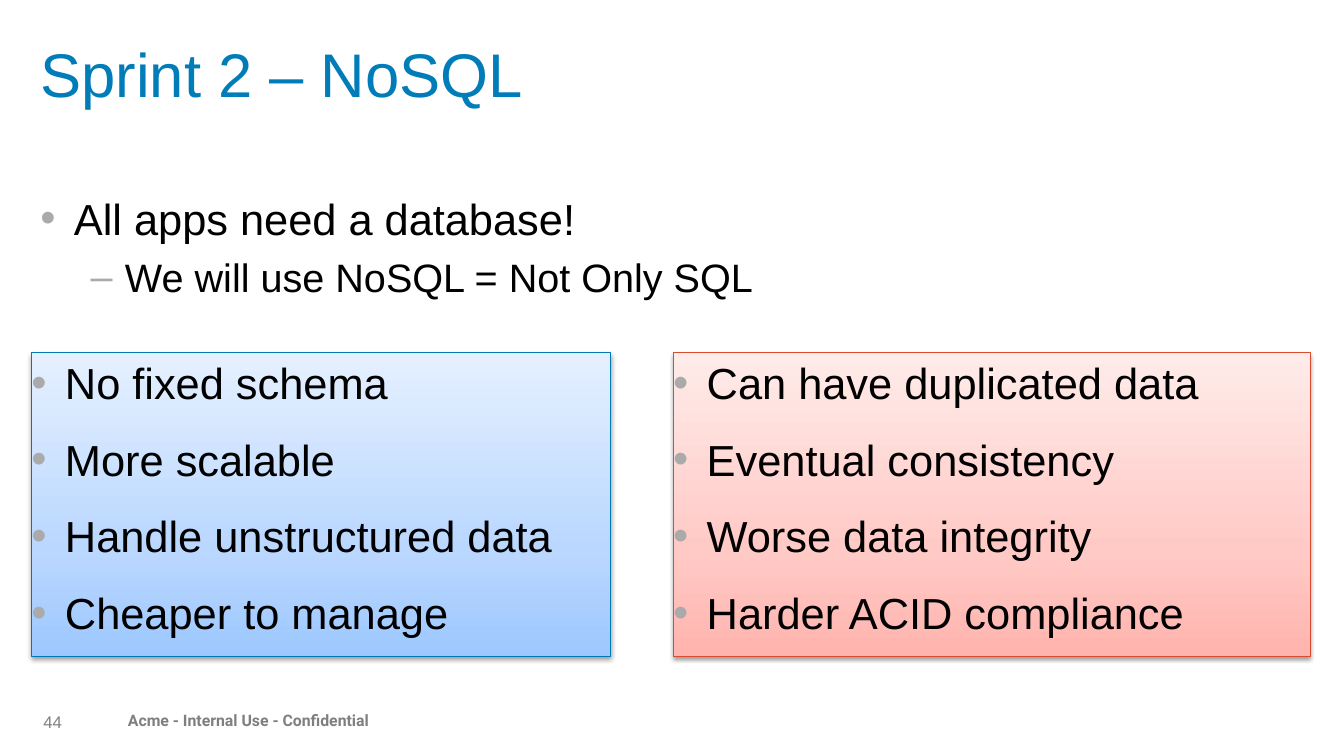
from copy import deepcopy

from lxml import etree
from pptx import Presentation
from pptx.dml.color import RGBColor
from pptx.enum import shapes, text
from pptx.oxml import ns
from pptx.util import Pt


def color(value):
    return RGBColor.from_string(value)


def add_xml(parent, tag, **attributes):
    return etree.SubElement(parent, ns.qn(tag), attributes)


class SlideBuilder:
    FONT = "Arial"
    BULLET_COLOR = "AAAAAA"
    LEVELS = [
        dict(mark="•", margin=24, hanging=24, size=31, before=17.5),
        dict(mark="–", margin=60.5, hanging=24.5, size=28.3, before=6.5),
    ]

    def __init__(self, slide):
        self.slide = slide

    def set_frame(self, frame, anchor=text.MSO_ANCHOR.TOP, top=0, bottom=0):
        settings = dict(
            word_wrap=True, auto_size=text.MSO_AUTO_SIZE.NONE, vertical_anchor=anchor,
            margin_left=0, margin_right=0, margin_top=Pt(top), margin_bottom=Pt(bottom),
        )
        for name, value in settings.items():
            setattr(frame, name, value)

    def set_font(self, paragraph, size, font_color="000000", name=FONT, bold=False):
        for key, value in dict(size=Pt(size), name=name, bold=bold).items():
            setattr(paragraph.font, key, value)
        paragraph.font.color.rgb = color(font_color)

    def title(self, words, box):
        title = self.slide.shapes.title
        title.left, title.top, title.width, title.height = map(Pt, box)
        self.set_frame(title.text_frame, top=3.6, bottom=3.6)
        paragraph = title.text_frame.paragraphs[0]
        paragraph.text = words
        paragraph.alignment = text.PP_ALIGN.LEFT
        paragraph.line_spacing = 0.9
        self.set_font(paragraph, 44, "007DB8")

    def label(self, words, box, **font):
        frame = self.slide.shapes.add_textbox(*map(Pt, box)).text_frame
        self.set_frame(frame, text.MSO_ANCHOR.MIDDLE)
        paragraph = frame.paragraphs[0]
        paragraph.text = words
        paragraph.line_spacing = 0.9
        self.set_font(paragraph, **font)

    def fill_bullets(self, frame, items):
        """Write (level, words) pairs as bulleted paragraphs."""
        self.set_frame(frame, top=2.5)
        for index, (level, words) in enumerate(items):
            style = self.LEVELS[level]
            paragraph = frame.add_paragraph() if index else frame.paragraphs[0]
            paragraph.text = words
            paragraph.level = level
            paragraph.alignment = text.PP_ALIGN.LEFT
            paragraph.space_before = Pt(style["before"] if index else 0)
            properties = paragraph._p.get_or_add_pPr()
            properties.set("marL", str(Pt(style["margin"])))
            properties.set("indent", str(-Pt(style["hanging"])))
            add_xml(add_xml(properties, "a:buClr"), "a:srgbClr", val=self.BULLET_COLOR)
            add_xml(properties, "a:buFont", typeface=self.FONT)
            add_xml(properties, "a:buChar", char=style["mark"])
            self.set_font(paragraph, style["size"])

    def bullets(self, items, box):
        self.fill_bullets(self.slide.shapes.add_textbox(*map(Pt, box)).text_frame, items)

    def panel(self, items, box, line_color, gradient):
        panel = self.slide.shapes.add_shape(shapes.MSO_SHAPE.RECTANGLE, *map(Pt, box))
        panel.line.color.rgb = color(line_color)
        panel.line.width = Pt(0.75)
        panel.fill.gradient()
        panel.fill.gradient_angle = 90
        properties = panel._element.spPr
        first_stop = properties.find(".//" + ns.qn("a:gs"))
        first_stop.addnext(deepcopy(first_stop))
        for stop, position, value in zip(panel.fill.gradient_stops, (0, 0.35, 1), gradient):
            stop.position = position
            stop.color.rgb = color(value)
        self.add_shadow(panel)
        self.fill_bullets(panel.text_frame, [(0, words) for words in items])

    def add_shadow(self, shape):
        shape.shadow.inherit = False
        effects = shape._element.spPr.find(ns.qn("a:effectLst"))
        shadow = add_xml(effects, "a:outerShdw", blurRad=str(Pt(3.1)), dist=str(Pt(1.6)),
                         dir="5400000", rotWithShape="0")
        add_xml(add_xml(shadow, "a:srgbClr", val="000000"), "a:alpha", val="38000")


def main():
    presentation = Presentation()
    presentation.slide_width, presentation.slide_height = Pt(960), Pt(540)
    builder = SlideBuilder(presentation.slides.add_slide(presentation.slide_layouts[5]))

    builder.label("Acme - Internal Use - Confidential", (91.4, 506, 400, 18),
                  size=11.3, font_color="7F7F7F", name="Roboto", bold=True)
    builder.label("44", (31, 512, 28, 9.4), size=12, font_color="808080")
    builder.title("Sprint 2 – NoSQL", (28.8, 28, 835, 67))
    builder.bullets([(0, "All apps need a database!"),
                     (1, "We will use NoSQL = Not Only SQL")], (28.8, 134.6, 521, 89))

    panels = [
        (480.8, 455, "DB4B2F", ("FFB4AE", "FFCAC6", "FFEBE9"),
         ["Can have duplicated data", "Eventual consistency",
          "Worse data integrity", "Harder ACID compliance"]),
        (22.4, 413.5, "007AB4", ("9DC8FF", "BAD7FF", "E5F0FF"),
         ["No fixed schema", "More scalable",
          "Handle unstructured data", "Cheaper to manage"]),
    ]
    for left, width, line_color, gradient, items in panels:
        builder.panel(items, (left, 252, width, 216.7), line_color, gradient)

    presentation.save("out.pptx")


if __name__ == "__main__":
    main()
